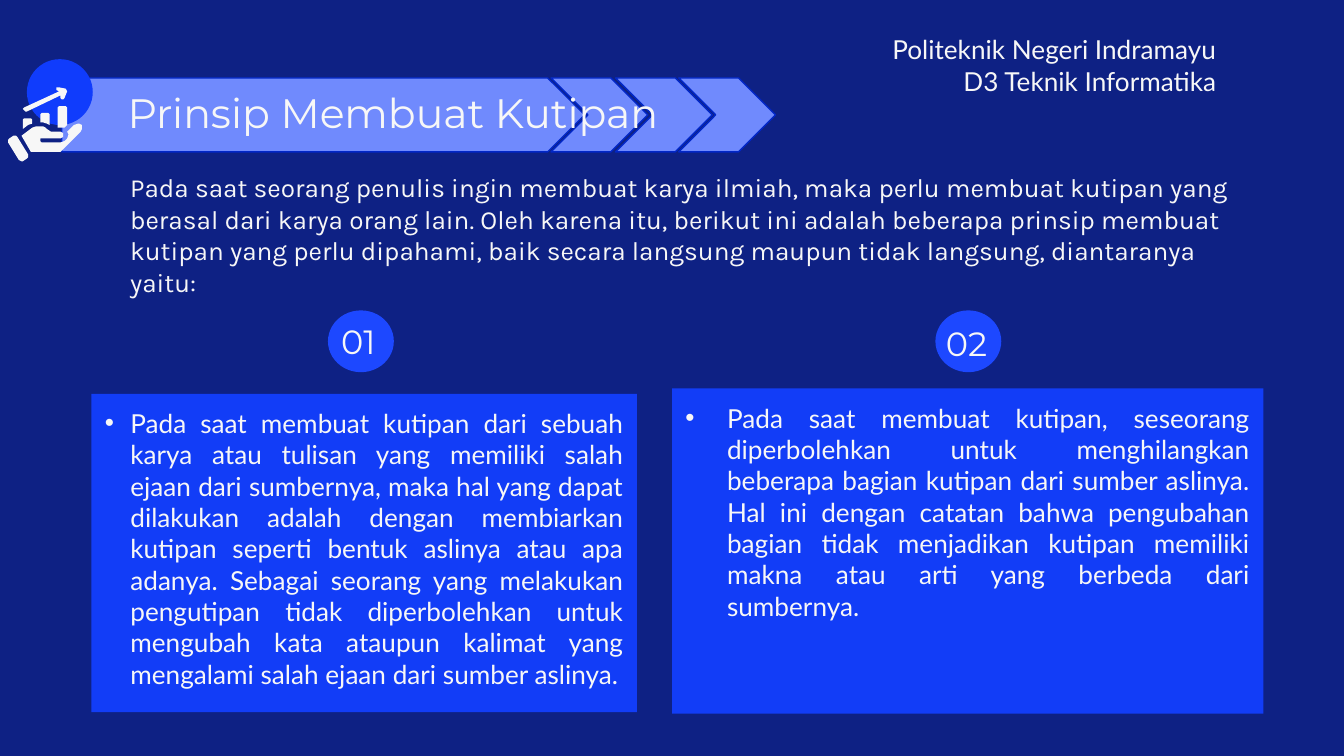
from lxml import etree
from pptx import Presentation
from pptx import util as u
from pptx.dml.color import RGBColor
from pptx.enum import shapes, text
from pptx.oxml import ns

Inches = u.Inches
PP, MSO = text.PP_ALIGN, shapes.MSO_SHAPE

THEME = {
    "bg": "0E2184", "panel": "123DF7", "banner": "708AFD", "edge": "0227C7",
    "badge": "1D48FF", "disc": "103CFC", "ink": "F7F7F7",
    "title": 22, "number": 18, "body": 14,
    "display": "Montserrat", "sans": "Lato", "intro": "Karla",
}


def color(name):
    return RGBColor.from_string(THEME[name])


def write(sp, lines, font, size, align=PP.LEFT, anchor=text.MSO_ANCHOR.TOP, inset=0.1, bullet=None):
    """Fill a text frame, one run per paragraph; bullet is the hanging indent."""
    tf = sp.text_frame
    tf.word_wrap, tf.auto_size, tf.vertical_anchor = True, text.MSO_AUTO_SIZE.NONE, anchor
    tf.margin_left = tf.margin_right = Inches(0.1)
    tf.margin_top = tf.margin_bottom = Inches(inset)
    for i, line in enumerate(lines):
        p = tf.paragraphs[0] if i == 0 else tf.add_paragraph()
        p.alignment, p.space_before = align, u.Pt(0)
        if bullet:
            pPr = p._p.get_or_add_pPr()
            pPr.set("marL", str(Inches(bullet)))
            pPr.set("indent", str(-Inches(bullet)))
            clr = etree.SubElement(pPr, ns.qn("a:buClr"))
            etree.SubElement(clr, ns.qn("a:srgbClr"), val=THEME["ink"])
            etree.SubElement(pPr, ns.qn("a:buChar"), char="•")
        r = p.add_run()
        r.text = line
        r.font.name, r.font.size = THEME[font], u.Pt(THEME[size])
        r.font.color.rgb = color("ink")


prs = Presentation()
prs.slide_width = Inches(10)
prs.slide_height = prs.slide_width * 9 // 16
s = prs.slides.add_slide(prs.slide_layouts[3])
s.background.fill.solid()
s.background.fill.fore_color.rgb = color("bg")

# Arrow banner
arrows = [(MSO.PENTAGON, 0.46, 3.89)]
arrows += [(MSO.CHEVRON, x, 0.72) for x in (4.1, 4.58, 5.05)]
for kind, x, w in arrows:
    sp = s.shapes.add_shape(kind, Inches(x), Inches(0.58), Inches(w), Inches(0.55))
    sp.shadow.inherit = False
    sp.fill.solid()
    sp.fill.fore_color.rgb = color("banner")
    sp.line.color.rgb, sp.line.width = color("edge"), u.Pt(0.75)

# Title, brought in front of the banner
title = s.shapes.title
title.left, title.top, title.width, title.height = map(Inches, (0.85, 0.55, 4.52, 0.65))
write(title, ["Prinsip Membuat Kutipan"], "display", "title")
title.element.getparent().append(title.element)

# Soft shadow under the title letters
fill = title.element.find(".//" + ns.qn("a:rPr")).find(ns.qn("a:solidFill"))
effects = etree.Element(ns.qn("a:effectLst"))
shadow = etree.SubElement(effects, ns.qn("a:outerShdw"), blurRad="38100", dist="38100", dir="2700000")
black = etree.SubElement(shadow, ns.qn("a:srgbClr"), val="000000")
etree.SubElement(black, ns.qn("a:alpha"), val="43000")
fill.addnext(effects)

# Two principle panels
panels = [
    (1, (0.68, 2.93, 4.06, 2.37), 0.19,
     "Pada saat membuat kutipan dari sebuah karya atau tulisan yang memiliki salah ejaan "
     "dari sumbernya, maka hal yang dapat dilakukan adalah dengan membiarkan kutipan seperti "
     "bentuk aslinya atau apa adanya. Sebagai seorang yang melakukan pengutipan tidak "
     "diperbolehkan untuk mengubah kata ataupun kalimat yang mengalami salah ejaan dari "
     "sumber aslinya."),
    (2, (5, 2.89, 4.4, 2.42), 0.31,
     "Pada saat membuat kutipan, seseorang diperbolehkan untuk menghilangkan beberapa bagian "
     "kutipan dari sumber aslinya. Hal ini dengan catatan bahwa pengubahan bagian tidak "
     "menjadikan kutipan memiliki makna atau arti yang berbeda dari sumbernya."),
]
for idx, box, indent, words in panels:
    sp = s.placeholders[idx]
    sp.left, sp.top, sp.width, sp.height = map(Inches, box)
    sp.fill.solid()
    sp.fill.fore_color.rgb = color("panel")
    write(sp, [words], "sans", "body", PP.JUSTIFY, bullet=indent)

# Discs behind the icon and the numbers
solids = []
for x, y, h, fill in [(0.2, 0.44, 0.49, "disc"), (2.44, 2.31, 0.46, "badge"), (6.96, 2.31, 0.46, "badge")]:
    sp = s.shapes.add_shape(MSO.OVAL, Inches(x), Inches(y), Inches(0.49), Inches(h))
    solids.append((sp, fill))

# Growth icon: outlines in hundredths of an inch
icon = [
    # short, middle and tall bar
    [(17, 96), (21, 93), (24, 92), (24, 89), (23, 88), (18, 88), (17, 89)],
    [(31, 84), (30, 85), (30, 91), (32, 91), (35, 92), (37, 93), (37, 85), (36, 84)],
    [(44, 79), (43, 80), (43, 95), (45, 95), (48, 95), (50, 93), (50, 80), (49, 79)],
    # trend arrow
    [(18, 82), (19, 83), (20, 83), (45, 71), (45, 73), (46, 74), (47, 74), (48, 73),
     (50, 68), (49, 66), (44, 65), (42, 65), (42, 67), (44, 68), (18, 80), (17, 81)],
    # hand
    [(58, 92), (55, 93), (50, 98), (51, 100), (50, 103), (48, 105), (45, 106), (31, 106),
     (30, 105), (30, 103), (31, 103), (45, 103), (47, 102), (47, 99), (45, 98), (38, 98),
     (35, 96), (34, 95), (32, 94), (27, 94), (24, 95), (16, 101), (23, 113), (42, 113),
     (45, 113), (46, 112), (60, 98), (61, 96), (61, 93), (59, 92)],
    # cuff
    [(20, 118), (21, 117), (21, 115), (13, 102), (12, 101), (10, 101), (7, 103), (6, 104),
     (6, 106), (14, 119), (16, 120), (17, 120)],
]
for start, *rest in icon:
    outline = s.shapes.build_freeform(*start, scale=Inches(0.01))
    outline.add_line_segments(rest, close=True)
    solids.append((outline.convert_to_shape(), "ink"))

for sp, fill in solids:
    sp.shadow.inherit = False
    sp.fill.solid()
    sp.fill.fore_color.rgb = color(fill)
    sp.line.fill.background()

# Header, numbers and introduction
MIDDLE, TOP = text.MSO_ANCHOR.MIDDLE, text.MSO_ANCHOR.TOP
labels = [
    ((5.85, 0.16, 3.3, 0.65), ["Politeknik Negeri Indramayu", "D3 Teknik Informatika"],
     "sans", "body", PP.RIGHT, MIDDLE, 0.1),
    ((2.44, 2.29, 0.62, 0.32), ["01"], "display", "number", PP.LEFT, TOP, 0.1),
    ((6.94, 2.3, 0.66, 0.32), ["02"], "display", "number", PP.LEFT, TOP, 0.1),
    ((0.87, 1.23, 8.6, 1.04),
     ["Pada saat seorang penulis ingin membuat karya ilmiah, maka perlu membuat kutipan yang "
      "berasal dari karya orang lain. Oleh karena itu, berikut ini adalah beberapa prinsip "
      "membuat kutipan yang perlu dipahami, baik secara langsung maupun tidak langsung, "
      "diantaranya yaitu:"],
     "intro", "body", PP.LEFT, TOP, 0.05),
]
for box, lines, *style in labels:
    write(s.shapes.add_textbox(*map(Inches, box)), lines, *style)

prs.save("out.pptx")
